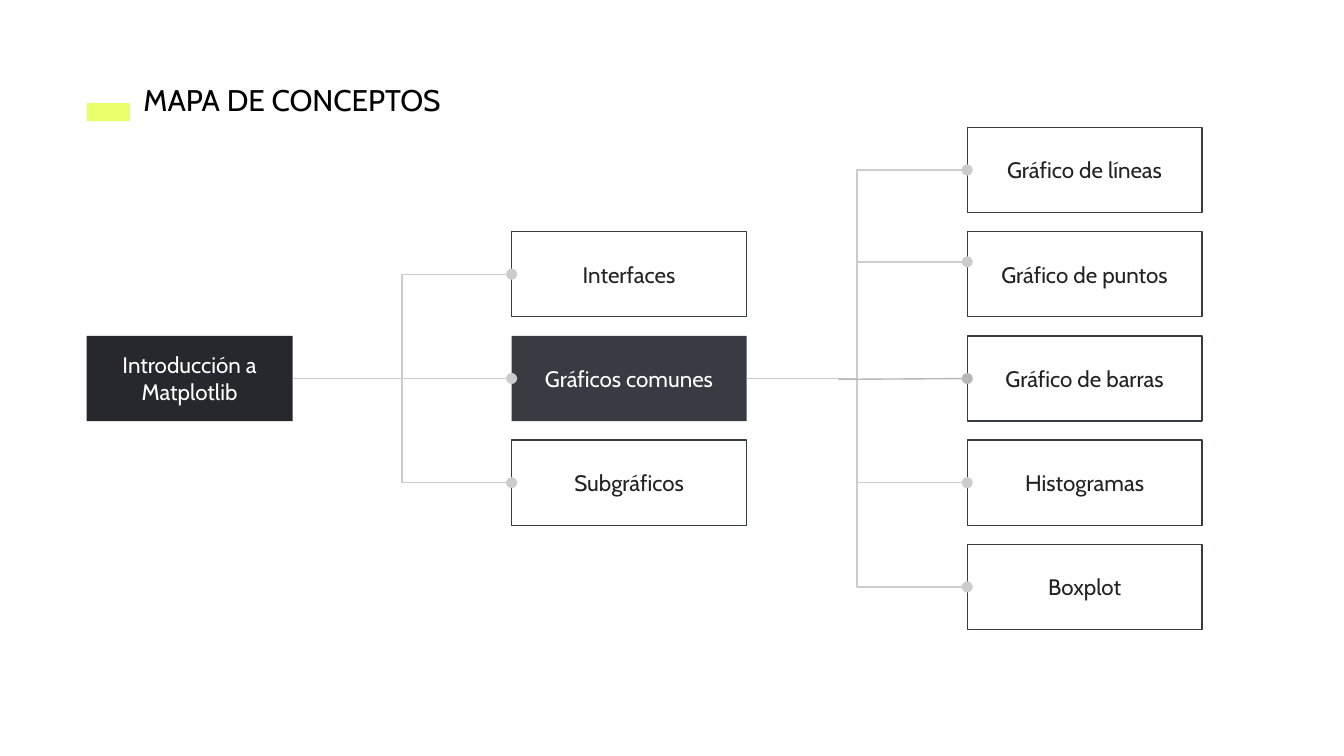
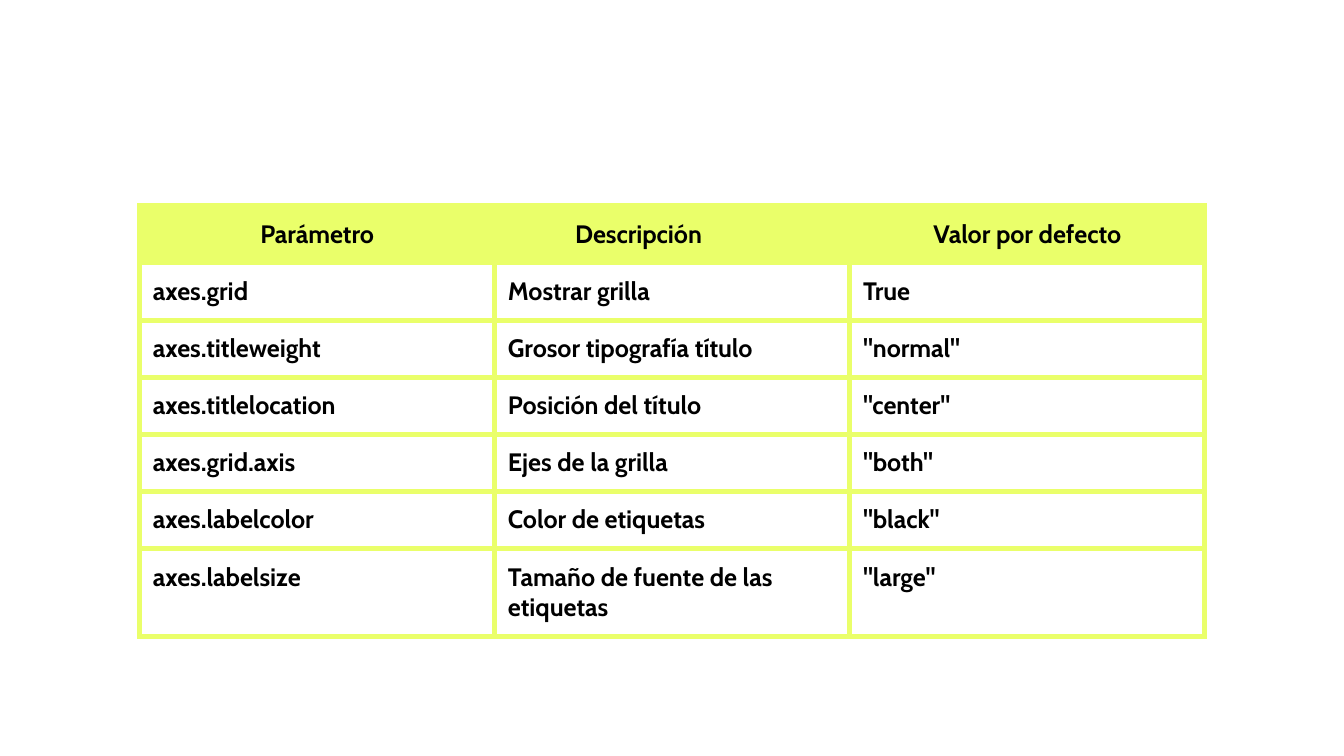
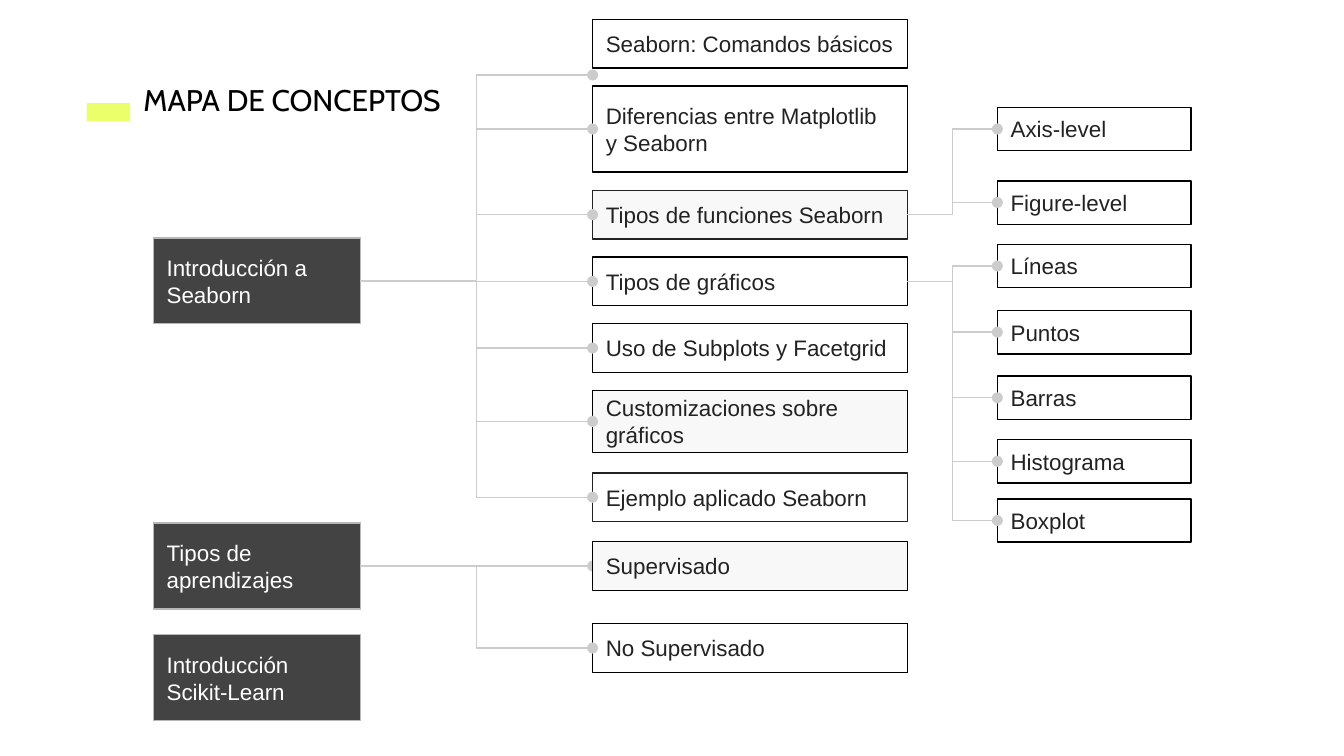
"""Build three slides: two concept maps and a table of Matplotlib parameters."""
from dataclasses import dataclass
from typing import Optional

from lxml import etree
from pptx import Presentation
from pptx.dml.color import RGBColor
from pptx.enum.shapes import MSO_CONNECTOR, MSO_SHAPE
from pptx.enum.text import MSO_ANCHOR, MSO_AUTO_SIZE, PP_ALIGN
from pptx.oxml.ns import qn
from pptx.slide import Slide
from pptx.text.text import TextFrame
from pptx.util import Cm, Pt

RECTANGLE = MSO_SHAPE.RECTANGLE
ELBOW, STRAIGHT = MSO_CONNECTOR.ELBOW, MSO_CONNECTOR.STRAIGHT
LEFT, CENTER = PP_ALIGN.LEFT, PP_ALIGN.CENTER
TOP, MIDDLE = MSO_ANCHOR.TOP, MSO_ANCHOR.MIDDLE
NO_AUTOFIT = MSO_AUTO_SIZE.NONE
TITLE_ONLY, BLANK = 5, 6

LIME = RGBColor(0xEA, 0xFF, 0x6A)
WHITE = RGBColor(0xFF, 0xFF, 0xFF)
BLACK = RGBColor(0, 0, 0)
INK = RGBColor(0x22, 0x22, 0x22)
NIGHT = RGBColor(0x27, 0x28, 0x2D)
SLATE = RGBColor(0x39, 0x3B, 0x43)
CHARCOAL = RGBColor(0x43, 0x43, 0x43)
SILVER = RGBColor(0xB7, 0xB7, 0xB7)
LINK_GREY = RGBColor(0xCC, 0xCC, 0xCC)
PALE = RGBColor(0xF8, 0xF8, 0xF8)

HEADING = "MAPA DE CONCEPTOS"
INSET = Cm(0.25)
THIN = Pt(0.75)


@dataclass(frozen=True)
class Style:
    """Look shared by a family of nodes."""
    font: str
    color: RGBColor
    fill: Optional[RGBColor]
    line: Optional[RGBColor]
    align: PP_ALIGN


@dataclass(frozen=True)
class Node:
    """Box of a concept map, measured in centimetres."""
    text: str
    left: float
    top: float
    width: float
    height: float
    style: Style

    @property
    def right(self) -> float:
        """Right edge."""
        return self.left + self.width

    @property
    def middle(self) -> float:
        """Height of the horizontal axis."""
        return self.top + self.height / 2


OUTLINED = Style("Cabin", INK, None, SLATE, CENTER)
ROOT = Style("Cabin", WHITE, NIGHT, None, CENTER)
CHOSEN = Style("Cabin", WHITE, SLATE, None, CENTER)
TOPIC = Style("Arial", WHITE, CHARCOAL, SILVER, LEFT)
PLAIN = Style("Arial", INK, WHITE, BLACK, LEFT)
SHADED = Style("Arial", INK, PALE, BLACK, LEFT)
SHADED_SOFT = Style("Arial", INK, PALE, INK, LEFT)
PLAIN_SOFT = Style("Arial", INK, WHITE, INK, LEFT)

PARAMETERS = [
    ("Parámetro", "Descripción", "Valor por defecto"),
    ("axes.grid", "Mostrar grilla", "True"),
    ("axes.titleweight", "Grosor tipografía título", '"normal"'),
    ("axes.titlelocation", "Posición del título", '"center"'),
    ("axes.grid.axis", "Ejes de la grilla", '"both"'),
    ("axes.labelcolor", "Color de etiquetas", '"black"'),
    ("axes.labelsize", "Tamaño de fuente de las etiquetas", '"large"'),
]
FIRST_TABLE_ROWS = 4


def write(frame: TextFrame, text: str, font: str, size: float,
          color: RGBColor, align: PP_ALIGN, bold: bool = False) -> None:
    """Write one formatted run in the first paragraph of a frame."""
    para = frame.paragraphs[0]
    para.alignment = align
    span = para.add_run()
    span.text = text
    span.font.name = font
    span.font.size = Pt(size)
    span.font.bold = bold
    span.font.color.rgb = color


def pad(frame: TextFrame) -> None:
    """Give a frame even insets, wrapping and no autofit."""
    frame.margin_left = frame.margin_right = INSET
    frame.margin_top = frame.margin_bottom = INSET
    frame.word_wrap = True
    frame.auto_size = NO_AUTOFIT


def add_rectangle(page: Slide, left: float, top: float, width: float, height: float,
                  fill: Optional[RGBColor], line: Optional[RGBColor]) -> TextFrame:
    """Draw a flat rectangle and return its text frame."""
    box = page.shapes.add_shape(RECTANGLE, Cm(left), Cm(top), Cm(width), Cm(height))
    box.shadow.inherit = False
    if fill is None:
        box.fill.background()
    else:
        box.fill.solid()
        box.fill.fore_color.rgb = fill
    if line is None:
        box.line.fill.background()
    else:
        box.line.color.rgb = line
        box.line.width = THIN
    return box.text_frame


def add_heading(page: Slide) -> None:
    """Place the title and its lime marker."""
    add_rectangle(page, 1.64, 1.95, 0.82, 0.34, LIME, None)
    title = page.shapes.title
    title.left, title.top, title.width, title.height = Cm(2.46), Cm(1.3), Cm(6.83), Cm(1.2)
    pad(title.text_frame)
    title.text_frame.vertical_anchor = TOP
    write(title.text_frame, HEADING, "Cabin", 16, BLACK, LEFT)


def add_node(page: Slide, node: Node) -> None:
    """Draw one concept."""
    style = node.style
    frame = add_rectangle(page, node.left, node.top, node.width, node.height,
                          style.fill, style.line)
    pad(frame)
    frame.vertical_anchor = MIDDLE
    write(frame, node.text, style.font, 12, style.color, style.align)


def add_line(page: Slide, kind: MSO_CONNECTOR, start: tuple[float, float],
             end: tuple[float, float], color: RGBColor) -> None:
    """Draw a connector that ends in a dot."""
    connector = page.shapes.add_connector(
        kind, Cm(start[0]), Cm(start[1]), Cm(end[0]), Cm(end[1]))
    connector.line.color.rgb = color
    connector.line.width = THIN
    properties = connector._element.spPr
    etree.SubElement(properties.find(qn("a:ln")), qn("a:tailEnd"), type="oval")
    etree.SubElement(properties, qn("a:effectLst"))


def link(page: Slide, source: Node, target: Node, landing: Optional[float] = None) -> None:
    """Join two concepts, at a given height if it is not the target's middle."""
    height = target.middle if landing is None else landing
    add_line(page, ELBOW, (source.right, source.middle), (target.left, height), LINK_GREY)


def add_matplotlib_map(page: Slide) -> None:
    """Draw the Matplotlib concept map on five equal rows."""
    add_heading(page)
    height, width = 1.61, 4.44
    rows = [2.41 + 1.97 * index for index in range(5)]
    root = Node("Introducción a Matplotlib", 1.64, rows[2], 3.89, height, ROOT)
    interfaces, common, subplots = branches = [
        Node(text, 9.67, top, width, height, style)
        for text, top, style in zip(("Interfaces", "Gráficos comunes", "Subgráficos"),
                                    rows[1:4], (OUTLINED, CHOSEN, OUTLINED))]
    lines, points, bars, histograms, boxplot = charts = [
        Node(text, 18.28, top, width, height, OUTLINED)
        for text, top in zip(("Gráfico de líneas", "Gráfico de puntos", "Gráfico de barras",
                              "Histogramas", "Boxplot"), rows)]
    for node in (root, *branches, *charts):
        add_node(page, node)
    for branch in (common, interfaces, subplots):
        link(page, root, branch)
    for chart in (lines, histograms, boxplot):
        link(page, common, chart)
    link(page, common, points, 4.95)
    add_line(page, STRAIGHT, (15.85, 7.17), (bars.left, bars.middle), SILVER)


def add_borders(cell) -> None:
    """Outline a table cell in lime."""
    properties = cell._tc.get_or_add_tcPr()
    for side in ("lnL", "lnR", "lnT", "lnB"):
        edge = etree.SubElement(properties, qn(f"a:{side}"), w=str(Pt(3)))
        paint = etree.SubElement(edge, qn("a:solidFill"))
        etree.SubElement(paint, qn("a:srgbClr"), val=str(LIME))


def add_parameter_table(page: Slide, top: float, rows: list[tuple[str, str, str]],
                        heights: list[float]) -> None:
    """Draw a block of parameters, with lime cells for the header row."""
    frame = page.shapes.add_table(len(rows), 3, Cm(2.64), Cm(top), Cm(20.13), Cm(sum(heights)))
    table = frame.table
    table.first_row = table.horz_banding = False
    for row, height in zip(table.rows, heights):
        row.height = Cm(height)
    for row_index, texts in enumerate(rows):
        header = texts == PARAMETERS[0]
        for column, text in enumerate(texts):
            cell = table.cell(row_index, column)
            add_borders(cell)
            cell.fill.solid()
            cell.fill.fore_color.rgb = LIME if header else WHITE
            cell.margin_left = cell.margin_right = INSET
            cell.margin_top = cell.margin_bottom = INSET
            indented = header and column == 1
            if indented:
                para = cell.text_frame.paragraphs[0]
                para._p.get_or_add_pPr().set("marL", str(Cm(1.27)))
            align = CENTER if header and not indented else LEFT
            write(cell.text_frame, text, "Cabin", 13.5, BLACK, align, bold=True)


def add_seaborn_map(page: Slide) -> None:
    """Draw the Seaborn and learning concept map."""
    intro, learning, scikit = topics = [
        Node(text, 2.9, top, 3.91, 1.62, TOPIC)
        for text, top in (("Introducción a Seaborn", 4.5), ("Tipos de aprendizajes", 9.89),
                          ("Introducción Scikit-Learn", 12))]
    sections = [
        Node(text, 11.2, top, 5.95, height, style)
        for text, top, height, style in (
            ("Seaborn: Comandos básicos", 0.37, 0.92, PLAIN),
            ("Diferencias entre Matplotlib y Seaborn", 1.63, 1.62, PLAIN),
            ("Tipos de funciones Seaborn", 3.6, 0.92, SHADED_SOFT),
            ("Tipos de gráficos", 4.86, 0.92, PLAIN),
            ("Uso de Subplots y Facetgrid", 6.12, 0.92, PLAIN),
            ("Customizaciones sobre gráficos", 7.38, 1.17, SHADED),
            ("Ejemplo aplicado Seaborn", 8.94, 0.92, PLAIN_SOFT),
            ("Supervisado", 10.24, 0.92, SHADED),
            ("No Supervisado", 11.79, 0.92, PLAIN))]
    basics, *details, supervised, unsupervised = sections
    functions, charts = details[1:3]
    leaves = [
        Node(text, 18.85, top, 3.66, 0.82, PLAIN)
        for text, top in (("Axis-level", 2.03), ("Figure-level", 3.42), ("Líneas", 4.62),
                          ("Puntos", 5.87), ("Barras", 7.11), ("Histograma", 8.31),
                          ("Boxplot", 9.43))]
    link(page, learning, supervised)
    for node in (*topics, *sections, *leaves):
        add_node(page, node)
    link(page, learning, unsupervised)
    link(page, intro, basics, 1.42)
    for section in details:
        link(page, intro, section)
    for index, leaf in enumerate(leaves):
        link(page, functions if index < 2 else charts, leaf)
    add_heading(page)


def main() -> None:
    """Build and save the deck."""
    deck = Presentation()
    deck.slide_width, deck.slide_height = Cm(25.4), Cm(14.29)
    layouts = deck.slide_layouts
    add_matplotlib_map(deck.slides.add_slide(layouts[TITLE_ONLY]))
    page = deck.slides.add_slide(layouts[BLANK])
    add_parameter_table(page, 3.89, PARAMETERS[:FIRST_TABLE_ROWS], [1.08] * FIRST_TABLE_ROWS)
    add_parameter_table(page, 8.21, PARAMETERS[FIRST_TABLE_ROWS:], [1.08, 1.08, 1.65])
    add_seaborn_map(deck.slides.add_slide(layouts[TITLE_ONLY]))
    deck.save("out.pptx")


if __name__ == "__main__":
    main()
